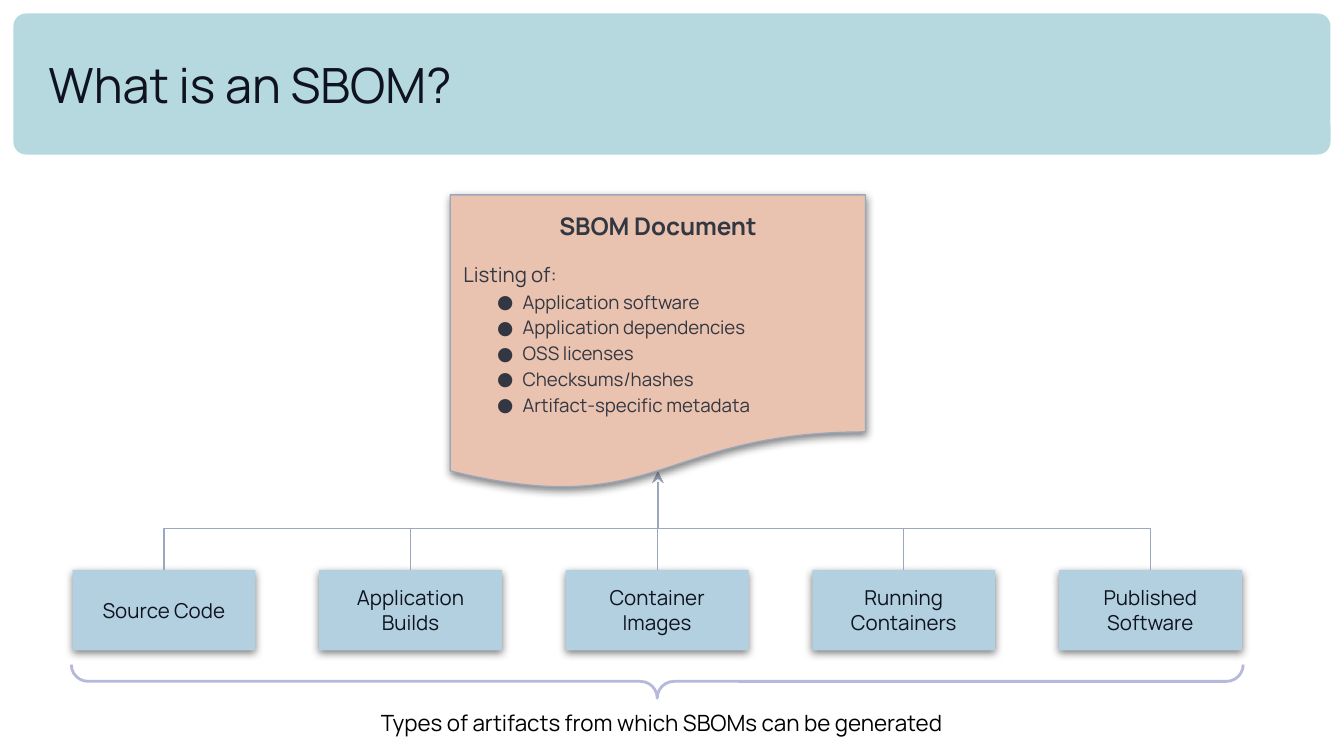
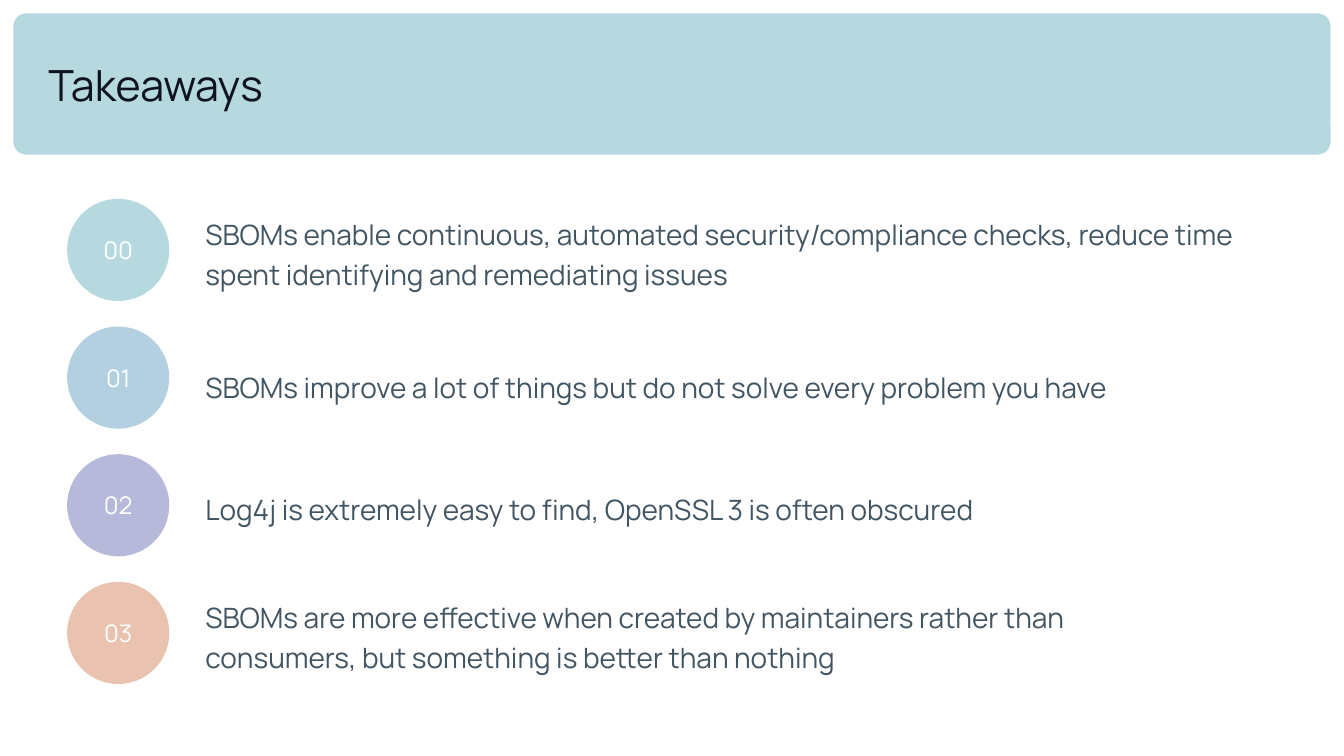
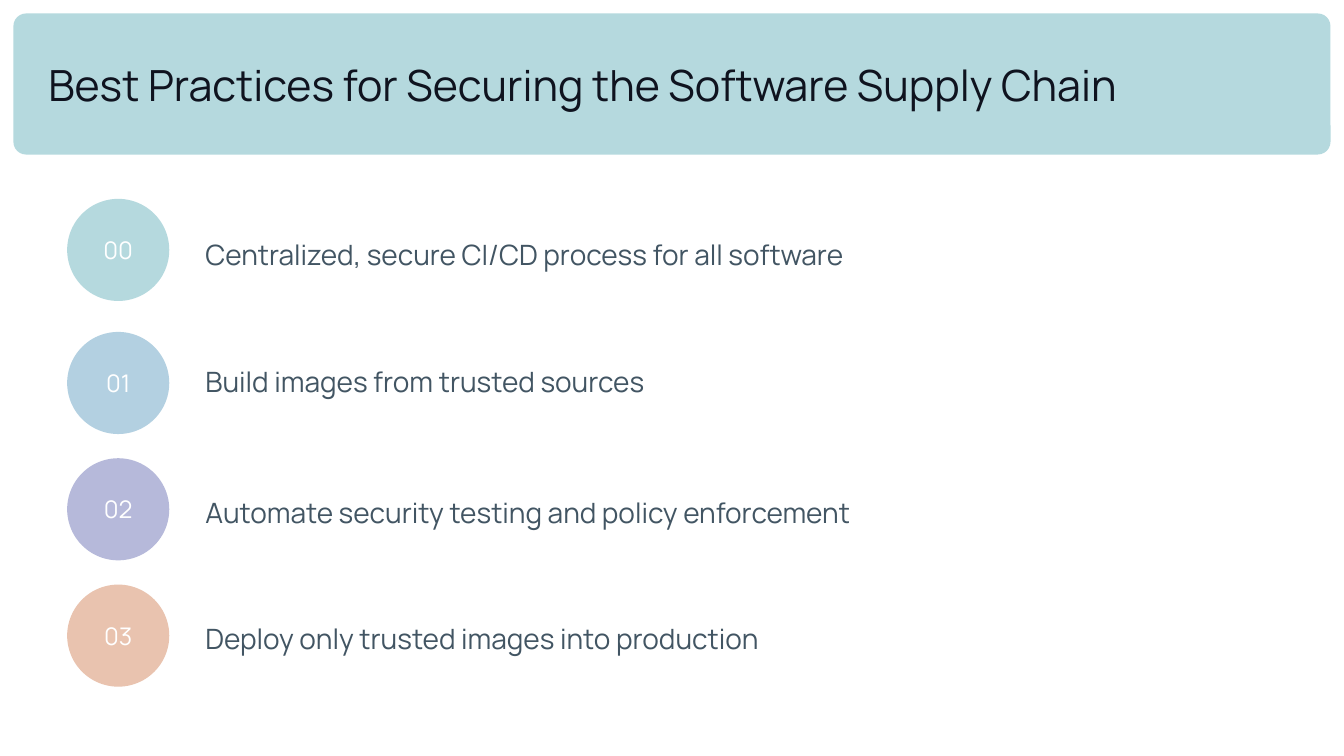
from dataclasses import dataclass

from lxml.etree import SubElement
from pptx import Presentation
from pptx.dml.color import RGBColor
from pptx.enum.shapes import MSO_CONNECTOR, MSO_SHAPE
from pptx.enum.text import MSO_ANCHOR, MSO_AUTO_SIZE, PP_ALIGN
from pptx.oxml.ns import qn
from pptx.util import Inches, Pt

COLORS = {
    "teal": "B5D9DE", "blue": "B3D0E1", "lilac": "B6B9DA", "peach": "E9C3AF",
    "ink": "0F131F", "slate": "425563", "charcoal": "333742", "line": "9AA7BC",
    "white": "FFFFFF", "black": "000000",
}
FONT = "Manrope"
UNIT = Inches(0.1)  # one column or row of the slide's grid
COLUMNS, ROWS = 100, 56.25


@dataclass
class Box:
    """A region measured in grid columns and rows."""
    left: float
    top: float
    width: float
    height: float

    def inner(self, left, top, width, height):
        return Box(self.left + left, self.top + top, width, height)

    @property
    def middle(self):
        return self.left + self.width / 2

    @property
    def emu(self):
        return [round(n * UNIT) for n in (self.left, self.top, self.width, self.height)]


def color(name):
    return RGBColor.from_string(COLORS[name])


def set_all(target, values):
    for name, value in values.items():
        setattr(target, name, value)


def format_frame(frame, margins=(0, 0), anchor=MSO_ANCHOR.MIDDLE):
    """Set wrapping, anchor and the (side, top and bottom) margins in grid units."""
    side, end = (round(n * UNIT) for n in margins)
    set_all(frame, {
        "word_wrap": True, "auto_size": MSO_AUTO_SIZE.NONE, "vertical_anchor": anchor,
        "margin_left": side, "margin_right": side, "margin_top": end, "margin_bottom": end,
    })


def write(para, text, size, ink, bold=False, **layout):
    set_all(para, layout)
    span = para.add_run()
    span.text = text
    set_all(span.font, {"name": FONT, "size": Pt(size), "bold": bold})
    span.font.color.rgb = color(ink)


def add_bullet(para):
    props = para._p.get_or_add_pPr()
    props.set("marL", str(Inches(0.44)))
    props.set("indent", str(Inches(-0.19)))
    fill = SubElement(props, qn("a:buClr"))
    SubElement(fill, qn("a:srgbClr"), val=COLORS["charcoal"])
    SubElement(props, qn("a:buFont"), typeface=FONT)
    SubElement(props, qn("a:buChar"), char="●")


def add_figure(page, kind, box, fill=None, line=None, weight=0.75, shadow=False):
    figure = page.shapes.add_shape(kind, *box.emu)
    figure.shadow.inherit = False
    if fill:
        figure.fill.solid()
        figure.fill.fore_color.rgb = color(fill)
    else:
        figure.fill.background()
    if line:
        figure.line.color.rgb = color(line)
        figure.line.width = Pt(weight)
    else:
        figure.line.fill.background()
    if shadow:
        effects = figure.element.spPr.find(qn("a:effectLst"))
        outer = SubElement(effects, qn("a:outerShdw"), blurRad=str(Pt(4.5)),
                           dist=str(Pt(1.5)), dir="5400000", algn="t", rotWithShape="0")
        tint = SubElement(outer, qn("a:srgbClr"), val=COLORS["black"])
        SubElement(tint, qn("a:alpha"), val="50000")
    return figure


def add_label(page, box, text, size, ink, margins, anchor=MSO_ANCHOR.MIDDLE, **layout):
    frame = page.shapes.add_textbox(*box.emu).text_frame
    format_frame(frame, margins, anchor)
    write(frame.paragraphs[0], text, size, ink, **layout)


def prepare_layout(deck):
    """Give the title layout the title position shared by all slides."""
    layout = deck.slide_layouts[5]
    title = layout.placeholders[0]
    set_all(title, dict(zip(("left", "top", "width", "height"), Box(3.6, 1, 92.7, 10.5).emu)))
    format_frame(title.text_frame, (0, 1))
    return layout


def add_band(page):
    """Draw the title band and move it into the slide's layout."""
    band = add_figure(page, MSO_SHAPE.ROUNDED_RECTANGLE, Box(1, 1, COLUMNS - 2, 10.5), "teal")
    band.adjustments[0] = 0.09
    page.slide_layout.shapes.element.insert(2, band.element)


def add_page(deck, layout, title, size):
    page = deck.slides.add_slide(layout)
    write(page.shapes.title.text_frame.paragraphs[0], title, size, "ink", alignment=PP_ALIGN.LEFT)
    return page


def add_document(page, box):
    document = add_figure(page, MSO_SHAPE.FLOWCHART_DOCUMENT, box, "peach", "line", shadow=True)
    frame = document.text_frame
    format_frame(frame, (1, 1))
    write(frame.paragraphs[0], "SBOM Document", 13, "charcoal", bold=True,
          alignment=PP_ALIGN.CENTER)
    write(frame.add_paragraph(), "Listing of:", 11, "charcoal", alignment=PP_ALIGN.LEFT,
          line_spacing=1.15, space_before=Pt(10))
    for item in ("Application software", "Application dependencies", "OSS licenses",
                 "Checksums/hashes", "Artifact-specific metadata"):
        para = frame.add_paragraph()
        # Spacing comes before bullets in the paragraph's properties
        para.line_spacing = 1.15
        add_bullet(para)
        write(para, item, 10, "charcoal", alignment=PP_ALIGN.LEFT)


def add_upward_elbow(page, start, end):
    """Join two (column, row) points by an elbow that leaves and arrives vertically."""
    rise, run = start[1] - end[1], abs(end[0] - start[0])
    from_right = start[0] > end[0]
    left = (start[0] + end[0] - rise) / 2
    top = (start[1] + end[1] - run) / 2
    ends = (left + rise, left) if from_right else (left, left + rise)
    points = (ends[0], top, ends[1], top + run)
    elbow = page.shapes.add_connector(MSO_CONNECTOR.ELBOW, *[round(n * UNIT) for n in points])
    elbow.line.color.rgb = color("line")
    elbow.line.width = Pt(0.75)
    props = elbow.element.spPr
    SubElement(props.find(qn("a:ln")), qn("a:tailEnd"), type="stealth")
    SubElement(props, qn("a:effectLst"))
    props.find(qn("a:xfrm")).set("rot", str((90 if from_right else 270) * 60000))
    guides = props.find(qn("a:prstGeom")).find(qn("a:avLst"))
    SubElement(guides, qn("a:gd"), name="adj1", fmla="val 42000")


def add_artifacts(page, box, target):
    """Place the artifact cards across the box, each joined to the target point."""
    names = ("Source Code", "Application Builds", "Container Images",
             "Running Containers", "Published Software")
    card_width = 13.6
    pitch = (box.width - card_width) / (len(names) - 1)
    for index, name in enumerate(names):
        card_box = box.inner(index * pitch, 0, card_width, 6)
        card = add_figure(page, MSO_SHAPE.PENTAGON, card_box, "blue", shadow=True)
        card.adjustments[0] = 0
        format_frame(card.text_frame, (2, 2))
        write(card.text_frame.paragraphs[0], name, 11, "ink", alignment=PP_ALIGN.CENTER)
        add_upward_elbow(page, (card_box.middle, card_box.top), target)

    span, depth = 87.2, 2.5
    brace_box = Box(box.middle - depth / 2, box.top + 8.3 - span / 2, depth, span)
    brace = add_figure(page, MSO_SHAPE.RIGHT_BRACE, brace_box, line="lilac", weight=1.5)
    brace.rotation = 90
    brace.adjustments[0] = brace.adjustments[1] = 0.5
    add_label(page, box.inner(15, 9.35, 57.7, 4),
              "Types of artifacts from which SBOMs can be generated", 12, "black",
              (1, 1), MSO_ANCHOR.TOP, alignment=PP_ALIGN.CENTER)


def add_numbered_list(page, box, items):
    """Place (circle row, text row, text width, text) items, rows counted from the box top."""
    fills = ("teal", "blue", "lilac", "peach")
    for index, (circle_row, text_row, width, text) in enumerate(items):
        circle = add_figure(page, MSO_SHAPE.OVAL, box.inner(0, circle_row, 7.6, 7.6), fills[index])
        format_frame(circle.text_frame)
        write(circle.text_frame.paragraphs[0], f"{index:02}", 13, "white",
              alignment=PP_ALIGN.CENTER)
        add_label(page, box.inner(9.3, text_row, width, 6.9), text, 15, "slate",
                  (1, 0.5), line_spacing=1.2)


def main():
    deck = Presentation()
    deck.slide_width, deck.slide_height = COLUMNS * UNIT, round(ROWS * UNIT)
    layout = prepare_layout(deck)

    page = add_page(deck, layout, "What is an SBOM?", 26)
    add_band(page)
    document_box = Box(33.5, 14.5, 30.9, 22)
    add_artifacts(page, Box(5.4, 42.4, 87, 13.3), (document_box.middle, 35.1))
    add_document(page, document_box)

    list_box = Box(5, 14.8, 92.6, 36.3)
    page = add_page(deck, layout, "Takeaways", 23)
    add_numbered_list(page, list_box, [
        (0, 0.4, 82.6, "SBOMs enable continuous, automated security/compliance checks, "
                       "reduce time spent identifying and remediating issues"),
        (9.5, 10.3, 83.3, "SBOMs improve a lot of things but do not solve every problem you have"),
        (19, 19.4, 78.7, "Log4j is extremely easy to find, OpenSSL 3 is often obscured"),
        (28.5, 28.9, 77.3, "SBOMs are more effective when created by maintainers rather than "
                           "consumers, but something is better than nothing"),
    ])

    page = add_page(deck, layout, "Best Practices for Securing the Software Supply Chain", 23)
    add_numbered_list(page, list_box, [
        (0, 0.4, 69.6, "Centralized, secure CI/CD process for all software"),
        (9.9, 9.9, 67.9, "Build images from trusted sources"),
        (19.3, 19.6, 66.4, "Automate security testing and policy enforcement"),
        (28.7, 29, 55.4, "Deploy only trusted images into production"),
    ])

    deck.save("out.pptx")


if __name__ == "__main__":
    main()
